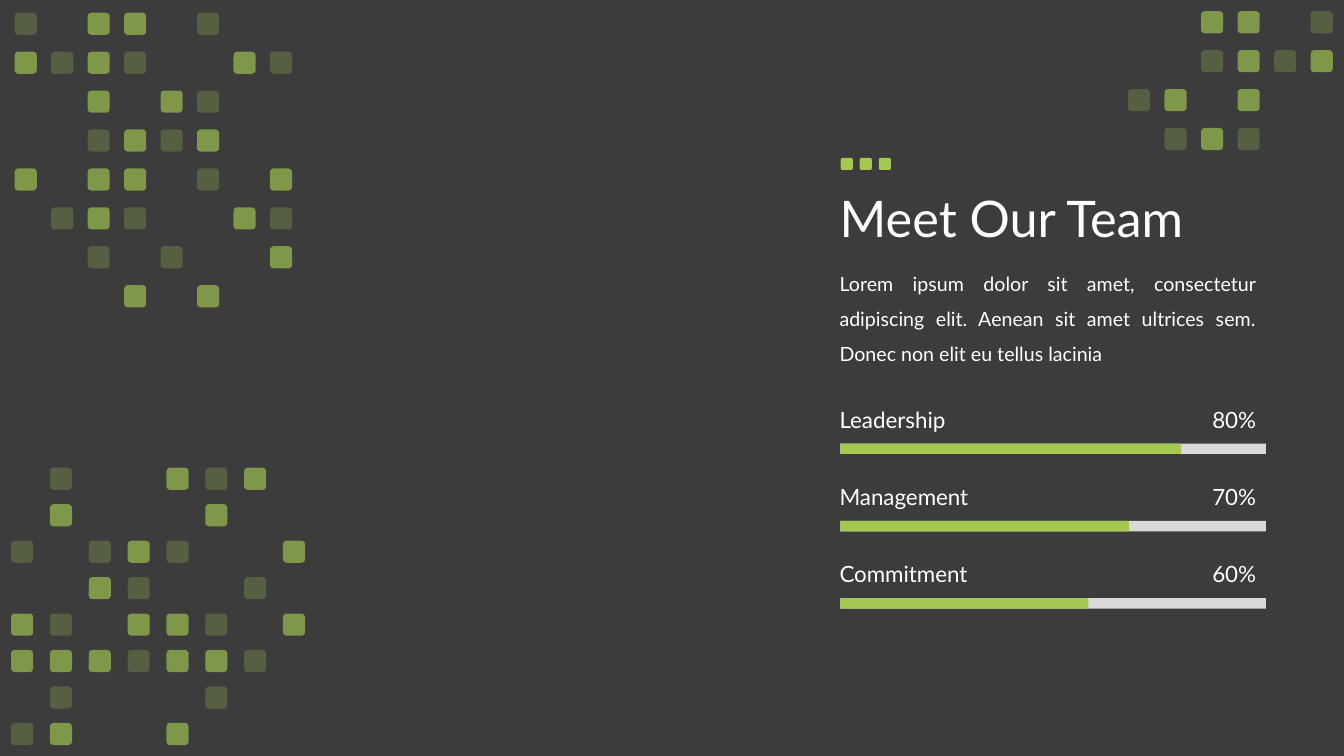
from lxml.etree import SubElement
from pptx import Presentation
from pptx.dml.color import RGBColor
from pptx.enum.shapes import MSO_SHAPE as Shape
from pptx.enum.text import MSO_ANCHOR as Anchor, MSO_AUTO_SIZE as AutoSize, PP_ALIGN as Align
from pptx.oxml.ns import qn
from pptx.util import Pt

COLORS = {"background": "3C3C3C", "text": "FFFFFF", "accent": "A3C951", "track": "D9D9D9"}
FONT = "Lato"
TITLE_ONLY = 5

# Opacity in percent of each mark in the mosaics; a dot is a gap.
OPACITY = {"#": 65, "o": 25, "=": 100}
TOP_LEFT = ["o.##.o..", "#o#o..#o", "..#.#o..", "..o#o#..",
            "#.##.o.#", ".o#o..#o", "..o.o..#", "...#.#.."]
BOTTOM_LEFT = [".o..#o#.", ".#...#..", "o.o#o..#", "..#o..o.",
               "#o.##o.#", "###o##o.", ".o...o..", "o#..#..."]
TOP_RIGHT = ["..##.o", "..o#o#", "o#.#..", ".o#o.."]
TITLE_DOTS = ["==="]

INTRO = ("Lorem ipsum dolor sit amet, consectetur adipiscing elit. "
         "Aenean sit amet ultrices sem. Donec non elit eu tellus lacinia")
# Skill, score, length of the filled part of the bar
SKILLS = [("Leadership", "80%", 243.4), ("Management", "70%", 206), ("Commitment", "60%", 177.2)]

TEXT_LEFT = 592.6
BAR_LEFT, BAR_LENGTH, BAR_HEIGHT = 600.3, 304, 7.5
LABEL_TOP, BAR_TOP, SKILL_PITCH = 286.2, 316.8, 55.2


def rgb(name):
    return RGBColor.from_string(COLORS[name])


def add_block(shapes, kind, left, top, width, height, color):
    block = shapes.add_shape(kind, Pt(left), Pt(top), Pt(width), Pt(height))
    block.shadow.inherit = False
    block.fill.solid()
    block.fill.fore_color.rgb = rgb(color)
    block.line.fill.background()
    return block


def set_opacity(block, percent):
    color = block.fill._xPr.find(qn("a:solidFill"))[0]
    SubElement(color, qn("a:alpha")).set("val", str(percent * 1000))


def add_mosaic(slide, pattern, left, top, column_pitch, row_pitch, size=15.8):
    """Draw a group of rounded squares, one for each mark in the pattern."""
    mosaic = slide.shapes.add_group_shape()
    for row, marks in enumerate(pattern):
        for column, mark in enumerate(marks):
            if mark == ".":
                continue
            tile = add_block(mosaic.shapes, Shape.ROUNDED_RECTANGLE,
                             left + column * column_pitch, top + row * row_pitch,
                             size, size, "accent")
            if OPACITY[mark] < 100:
                set_opacity(tile, OPACITY[mark])


def style_text(frame, text, size, align, spacing, anchor):
    frame.text = text
    frame.word_wrap = True
    frame.vertical_anchor = anchor
    paragraph = frame.paragraphs[0]
    paragraph.alignment = align
    paragraph.line_spacing = spacing
    font = paragraph.runs[0].font
    font.name, font.size, font.color.rgb = FONT, Pt(size), rgb("text")


def add_text(slide, text, left, top, width, height, size,
             align=Align.LEFT, spacing=1.0, anchor=Anchor.MIDDLE):
    box = slide.shapes.add_textbox(Pt(left), Pt(top), Pt(width), Pt(height))
    style_text(box.text_frame, text, size, align, spacing, anchor)
    box.text_frame.auto_size = AutoSize.SHAPE_TO_FIT_TEXT


def add_title(slide, text):
    title = slide.shapes.title
    title.left, title.top = Pt(TEXT_LEFT), Pt(105.8)
    title.width, title.height = Pt(350), Pt(104.4)
    style_text(title.text_frame, text, 36, Align.LEFT, 0.9, Anchor.MIDDLE)
    title.text_frame.auto_size = AutoSize.NONE


def add_skill(slide, index, skill, score, filled):
    offset = index * SKILL_PITCH
    add_text(slide, skill, TEXT_LEFT, LABEL_TOP + offset, 149, 26.6, 16)
    add_text(slide, score, 828, LABEL_TOP + offset, 76.3, 26.6, 16, Align.RIGHT)
    for length, color in ((BAR_LENGTH, "track"), (filled, "accent")):
        add_block(slide.shapes, Shape.RECTANGLE, BAR_LEFT, BAR_TOP + offset,
                  length, BAR_HEIGHT, color)


def main():
    deck = Presentation()
    deck.slide_width, deck.slide_height = Pt(960), Pt(540)
    slide = deck.slides.add_slide(deck.slide_layouts[TITLE_ONLY])
    slide.background.fill.solid()
    slide.background.fill.fore_color.rgb = rgb("background")

    add_mosaic(slide, TOP_LEFT, 10.5, 9.1, 26.05, 27.8)
    add_mosaic(slide, BOTTOM_LEFT, 7.9, 334.1, 27.75, 26.04)
    add_title(slide, "Meet Our Team")
    add_text(slide, INTRO, TEXT_LEFT, 182.2, 311.7, 79.9, 14,
             Align.JUSTIFY, 1.5, Anchor.TOP)
    for index, (skill, score, filled) in enumerate(SKILLS):
        add_skill(slide, index, skill, score, filled)
    add_mosaic(slide, TOP_RIGHT, 805.7, 8, 26.1, 27.8)
    add_mosaic(slide, TITLE_DOTS, 600.5, 112.7, 13.6, 0, size=8.7)

    deck.save("out.pptx")


if __name__ == "__main__":
    main()
